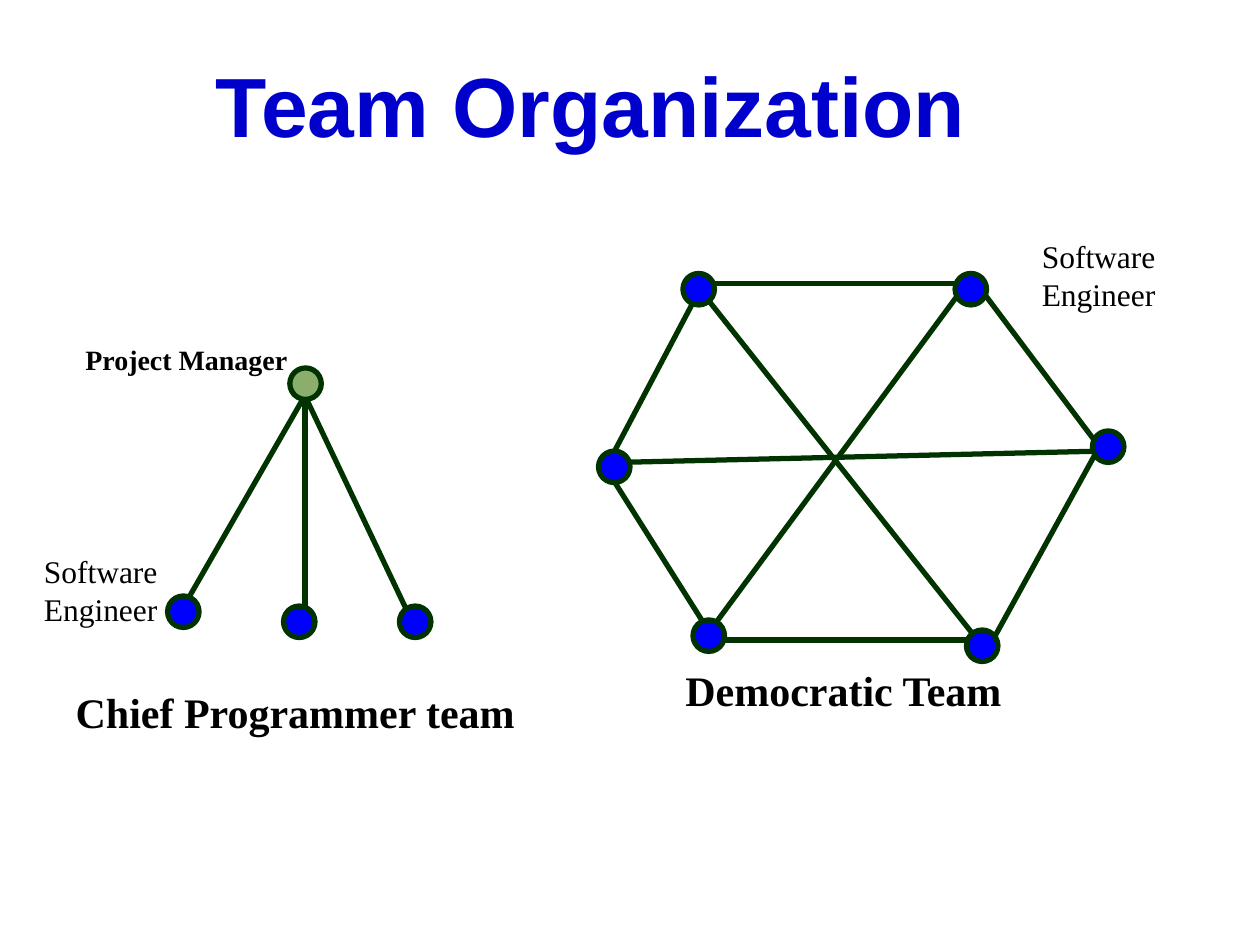
from dataclasses import dataclass

from lxml import etree
from pptx import Presentation
from pptx import util as u
from pptx.dml.color import RGBColor
from pptx.enum import shapes, text
from pptx.oxml.ns import qn


@dataclass(frozen=True)
class Theme:
    """Colours, fonts and sizes of the slide."""
    title: str = "0000CC"
    ink: str = "000000"
    edge: str = "003300"
    manager: str = "8BAE6C"
    engineer: str = "0000FF"
    heading_font: str = "Arial"
    body_font: str = "Times New Roman"
    title_size: int = 48
    caption_size: int = 24
    label_size: int = 18
    manager_size: int = 16
    edge_width: int = 3
    node_size: float = 0.25


THEME = Theme()


def color(value):
    """Return an RGB colour from hex digits."""
    return RGBColor.from_string(value)


def place(shape, left, top, width, height):
    """Set the position and size of a shape in inches."""
    shape.left, shape.top = u.Inches(left), u.Inches(top)
    shape.width, shape.height = u.Inches(width), u.Inches(height)


def write(shape, words, size, font, ink, bold=False, before=0, spacing=None, inset=0.1):
    """Write one formatted paragraph into a shape and return it."""
    frame = shape.text_frame
    frame.word_wrap = True
    frame.auto_size = text.MSO_AUTO_SIZE.NONE
    frame.margin_left = frame.margin_right = u.Inches(inset)
    frame.margin_top = frame.margin_bottom = u.Inches(0.05)
    paragraph = frame.paragraphs[0]
    paragraph.space_before = u.Pt(before)
    if spacing:
        paragraph.line_spacing = spacing
    run = paragraph.add_run()
    run.text = words
    run.font.size = u.Pt(size)
    run.font.name = font
    run.font.bold = bold
    run.font.color.rgb = color(ink)
    return paragraph


def add_title(slide, words):
    """Fill and place the title placeholder."""
    title = slide.shapes.title
    place(title, 0.44, 0.2, 8.5, 1.25)
    paragraph = write(title, words, THEME.title_size, THEME.heading_font,
                      THEME.title, True, 10.7, inset=0.02)
    paragraph.alignment = text.PP_ALIGN.CENTER
    title.text_frame.vertical_anchor = text.MSO_ANCHOR.MIDDLE


def add_text(slide, words, box, size, **style):
    """Add a text box in the body font."""
    shape = slide.shapes.add_textbox(*map(u.Inches, box))
    write(shape, words, size, THEME.body_font, THEME.ink, **style)


def add_caption(slide, words, box):
    """Add the bold name of a team structure."""
    add_text(slide, words, box, THEME.caption_size, bold=True,
             before=13.6, spacing=0.72, inset=0.02)


def add_edge(tree, start, end):
    """Draw a communication line between two points."""
    edge = tree.add_connector(shapes.MSO_CONNECTOR.STRAIGHT,
                              *map(u.Inches, (*start, *end)))
    edge.line.color.rgb = color(THEME.edge)
    edge.line.width = u.Pt(THEME.edge_width)
    properties = edge._element.find(qn("p:spPr"))
    etree.SubElement(properties, qn("a:effectLst"))


def add_node(tree, left, top, fill):
    """Draw a team member as a circle."""
    size = u.Inches(THEME.node_size)
    node = tree.add_shape(shapes.MSO_SHAPE.OVAL, u.Inches(left), u.Inches(top), size, size)
    node.shadow.inherit = False
    node.fill.solid()
    node.fill.fore_color.rgb = color(fill)
    node.line.color.rgb = color(THEME.edge)
    node.line.width = u.Pt(THEME.edge_width)


def add_chief_team(slide):
    """Draw the manager with three engineers below, as one group."""
    tree = slide.shapes.add_group_shape().shapes
    for end in ((1.46, 4.81), (2.42, 4.89), (3.25, 4.89)):
        add_edge(tree, (2.42, 3.14), end)
    add_node(tree, 2.3, 2.92, THEME.manager)
    for left, top in ((1.33, 4.73), (2.25, 4.81), (3.17, 4.81)):
        add_node(tree, left, top, THEME.engineer)


def add_democratic_team(slide):
    """Draw six engineers joined around a ring and across it."""
    ring = (((5.58, 2.25), (4.83, 3.67)), ((4.83, 3.75), (5.67, 5.08)),
            ((5.67, 5.08), (7.75, 5.08)), ((7.83, 5.17), (8.75, 3.5)),
            ((5.58, 2.25), (7.75, 2.25)), ((7.75, 2.25), (8.75, 3.58)))
    diagonals = (((5.58, 2.33), (7.83, 5.17)), ((4.92, 3.67), (8.75, 3.58)),
                 ((7.67, 2.25), (5.58, 5.08)))
    members = ((4.75, 3.58), (5.42, 2.17), (7.58, 2.17),
               (8.67, 3.42), (5.5, 4.92), (7.67, 5))
    for start, end in ring + diagonals:
        add_edge(slide.shapes, start, end)
    for left, top in members:
        add_node(slide.shapes, left, top, THEME.engineer)


def main():
    """Build and save the slide."""
    presentation = Presentation()
    presentation.slide_width, presentation.slide_height = u.Inches(10), u.Inches(7.5)
    slide = presentation.slides.add_slide(presentation.slide_layouts[5])
    add_title(slide, "Team Organization")
    add_chief_team(slide)
    add_democratic_team(slide)
    add_caption(slide, "Chief Programmer team", (0.58, 5.5, 4.25, 0.5))
    add_caption(slide, "Democratic Team", (5.42, 5.33, 3, 0.5))
    add_text(slide, "Project Manager", (0.58, 2.67, 2, 0.64),
             THEME.manager_size, bold=True, before=10)
    for left, top in ((0.25, 4.33), (8.17, 1.83)):
        add_text(slide, "Software Engineer", (left, top, 1.17, 1.3),
                 THEME.label_size, before=11.2)
    presentation.save("out.pptx")


main()
